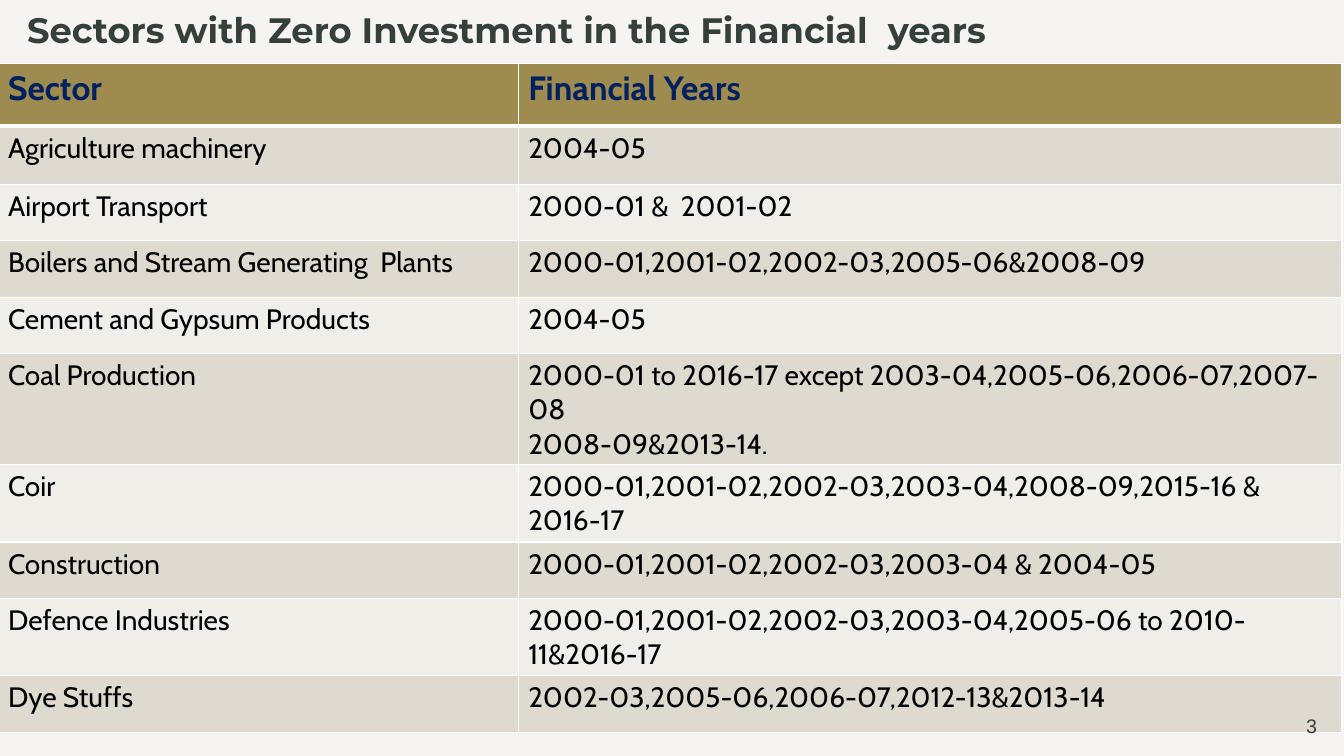
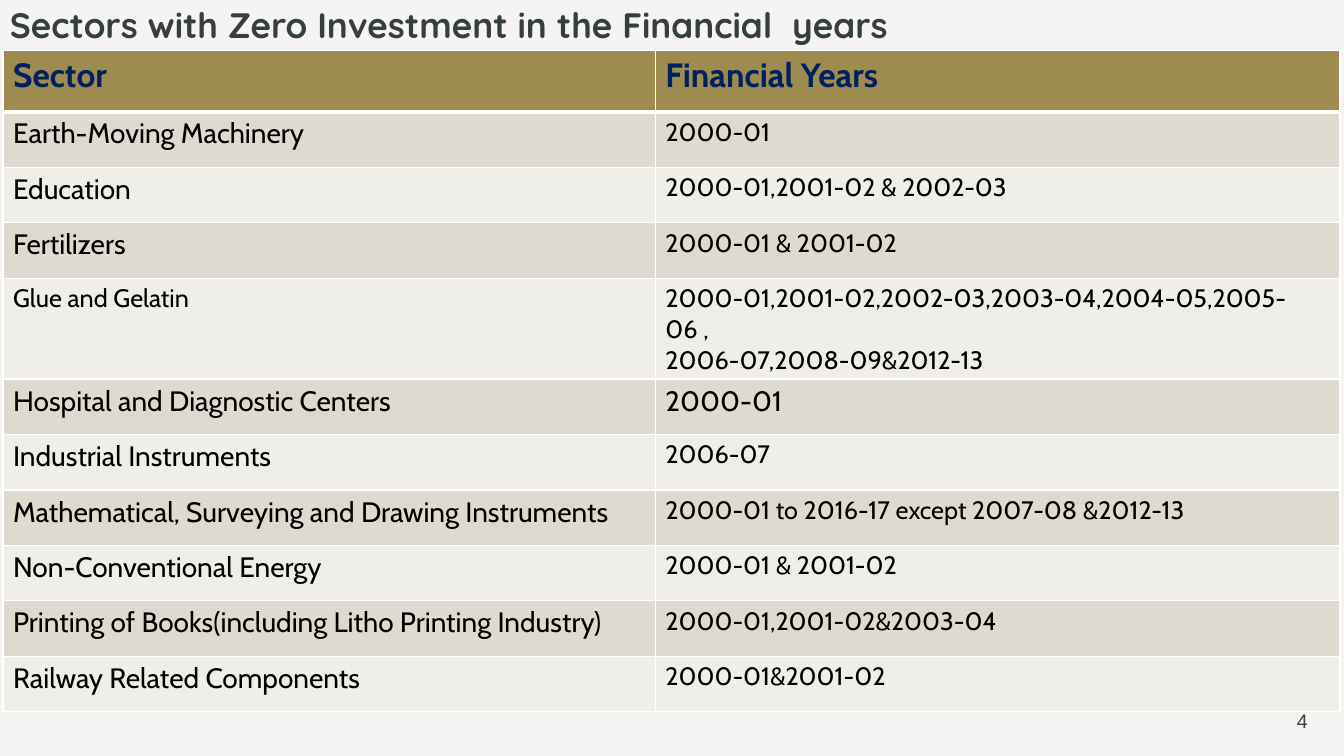
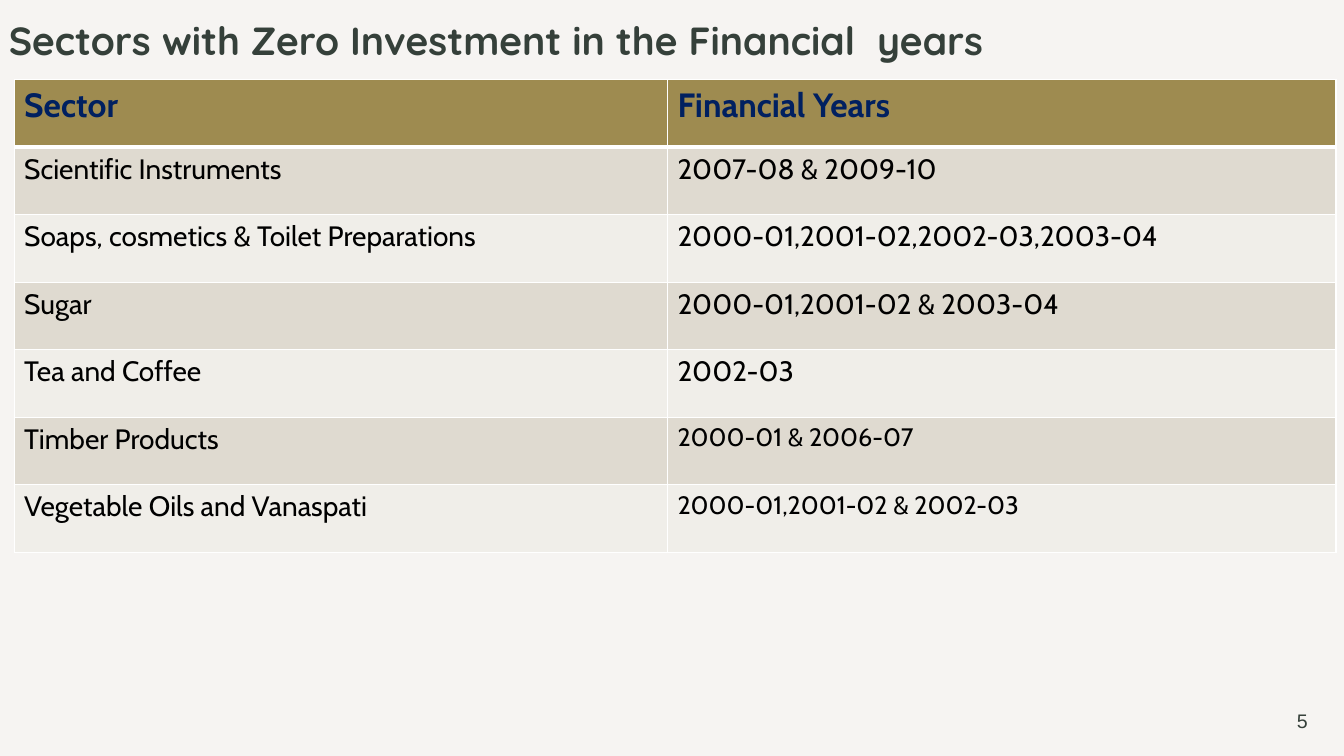
"""Build three table slides listing sectors with zero investment by financial year."""
import pptx
import pptx.dml.color
import pptx.enum.text
import pptx.oxml
import pptx.oxml.ns
import pptx.util
from pptx.util import Inches

BACKGROUND, INK, HEADER_INK, BODY_INK = "F6F4F2", "35403A", "002060", "000000"
HEADER_FILL, BAND_FILLS, RULE = "9E8B50", ("DFDAD0", "F0EEE9"), "FFFFFF"
TABLE_FONT, NUMBER_FONT = "Cabin", "Arial"
HEADER_SIZE, NUMBER_SIZE = 24, 14

TITLE = "Sectors with Zero Investment in the Financial  years"
HEADINGS = ("Sector", "Financial Years")

SLIDES = [
    {
        "number": "3", "number_at": (12.59, 7),
        "title_at": (0.17, 0, 11.43, 0.55), "title_font": "Montserrat", "title_size": 25.2,
        "table_at": (-0.02, 0.63), "columns": (5.16, 8.17),
        "row_height": 0.56, "tall_rows": {0: 0.62, 1: 0.58, 5: 0.9, 6: 0.66, 8: 0.74},
        "rows": [
            ("Agriculture machinery", 20, "2004-05", 20),
            ("Airport Transport", 20, "2000-01 &  2001-02", 20),
            ("Boilers and Stream Generating  Plants", 20,
             "2000-01,2001-02,2002-03,2005-06&2008-09", 20),
            ("Cement and Gypsum Products", 20, "2004-05", 20),
            ("Coal Production", 20,
             "2000-01 to 2016-17 except 2003-04,2005-06,2006-07,2007-08\n2008-09&2013-14.", 20),
            ("Coir", 20, "2000-01,2001-02,2002-03,2003-04,2008-09,2015-16 & 2016-17", 20),
            ("Construction", 20, "2000-01,2001-02,2002-03,2003-04 & 2004-05", 20),
            ("Defence Industries", 20,
             "2000-01,2001-02,2002-03,2003-04,2005-06 to 2010-11&2016-17", 20),
            ("Dye Stuffs", 20, "2002-03,2005-06,2006-07,2012-13&2013-14", 20),
        ],
    },
    {
        "number": "4", "number_at": (12.5, 6.95),
        "title_at": (0, 0, 11.43, 0.5), "title_font": "Quicksand", "title_size": 25.2,
        "table_at": (0.03, 0.5), "columns": (6.47, 6.79),
        "row_height": 0.55, "tall_rows": {0: 0.61, 4: 0.8},
        "rows": [
            ("Earth-Moving Machinery", 20, "2000-01", 18),
            ("Education", 20, "2000-01,2001-02 & 2002-03", 18),
            ("Fertilizers", 20, "2000-01 & 2001-02", 18),
            ("Glue and Gelatin", 18,
             "2000-01,2001-02,2002-03,2003-04,2004-05,2005-06 ,\n2006-07,2008-09&2012-13", 18),
            ("Hospital and Diagnostic Centers", 20, "2000-01", 20),
            ("Industrial Instruments", 20, "2006-07", 18),
            ("Mathematical, Surveying and Drawing Instruments", 20,
             "2000-01 to 2016-17 except 2007-08 &2012-13", 18),
            ("Non-Conventional Energy", 20, "2000-01 & 2001-02", 18),
            ("Printing of Books(including Litho Printing Industry)", 20,
             "2000-01,2001-02&2003-04", 18),
            ("Railway Related Components", 20, "2000-01&2001-02", 18),
        ],
    },
    {
        "number": "5", "number_at": (12.5, 6.95),
        "title_at": (-0.01, 0, 11.43, 0.68), "title_font": "Quicksand", "title_size": 28,
        "table_at": (0.14, 0.79), "columns": (6.48, 6.63),
        "row_height": 0.67, "tall_rows": {},
        "rows": [
            ("Scientific Instruments", 20, "2007-08 & 2009-10", 20),
            ("Soaps, cosmetics & Toilet Preparations", 20, "2000-01,2001-02,2002-03,2003-04", 20),
            ("Sugar", 20, "2000-01,2001-02 & 2003-04", 20),
            ("Tea and Coffee", 20, "2002-03", 20),
            ("Timber Products", 20, "2000-01 & 2006-07", 18),
            ("Vegetable Oils and Vanaspati", 20, "2000-01,2001-02 & 2002-03", 18),
        ],
    },
]


def color(hex_code):
    return pptx.dml.color.RGBColor.from_string(hex_code)


def write(frame, text, font, size, ink, bold=False, align=None):
    for index, line in enumerate(text.split("\n")):
        paragraph = frame.add_paragraph() if index else frame.paragraphs[0]
        paragraph.alignment = align
        run = paragraph.add_run()
        run.text = line
        run.font.name = font
        run.font.size = pptx.util.Pt(size)
        run.font.bold = bold
        run.font.color.rgb = color(ink)


def add_label(slide, at, anchor, *style, **options):
    frame = slide.shapes.add_textbox(*map(Inches, at)).text_frame
    frame.word_wrap = True
    frame.vertical_anchor = anchor
    write(frame, *style, **options)


def paint(cell, fill, top, bottom):
    properties = cell._tc.get_or_add_tcPr()
    for side, width in (("L", 1), ("R", 1), ("T", top), ("B", bottom)):
        properties.append(pptx.oxml.parse_xml(
            f'<a:ln{side} {pptx.oxml.ns.nsdecls("a")} w="{pptx.util.Pt(width)}">'
            f'<a:solidFill><a:srgbClr val="{RULE}"/></a:solidFill></a:ln{side}>'))
    cell.fill.solid()
    cell.fill.fore_color.rgb = color(fill)


def add_sector_table(slide, content):
    rows, columns = content["rows"], content["columns"]
    heights = [content["tall_rows"].get(i, content["row_height"]) for i in range(len(rows) + 1)]
    left, top = content["table_at"]
    table = slide.shapes.add_table(
        len(heights), len(columns),
        *map(Inches, (left, top, sum(columns), sum(heights)))).table
    table.horz_banding = False
    for column, width in zip(table.columns, columns):
        column.width = Inches(width)
    for row, height in zip(table.rows, heights):
        row.height = Inches(height)
    for column, heading in enumerate(HEADINGS):
        cell = table.cell(0, column)
        paint(cell, HEADER_FILL, 1, 3)
        write(cell.text_frame, heading, TABLE_FONT, HEADER_SIZE, HEADER_INK, bold=True)
    for index, (sector, sector_size, years, years_size) in enumerate(rows):
        for column, (text, size) in enumerate(((sector, sector_size), (years, years_size))):
            cell = table.cell(index + 1, column)
            paint(cell, BAND_FILLS[index % 2], 1 if index else 3, 1)
            write(cell.text_frame, text, TABLE_FONT, size, BODY_INK)


def main():
    deck = pptx.Presentation()
    deck.slide_width, deck.slide_height = Inches(13.33), Inches(7.5)
    backdrop = deck.slide_master.background.fill
    backdrop.solid()
    backdrop.fore_color.rgb = color(BACKGROUND)
    anchors = pptx.enum.text.MSO_ANCHOR
    for content in SLIDES:
        slide = deck.slides.add_slide(deck.slide_layouts[6])
        add_label(slide, content["title_at"], anchors.BOTTOM, TITLE,
                  content["title_font"], content["title_size"], INK, bold=True)
        add_sector_table(slide, content)
        add_label(slide, (*content["number_at"], 0.57, 0.4), anchors.MIDDLE, content["number"],
                  NUMBER_FONT, NUMBER_SIZE, INK, align=pptx.enum.text.PP_ALIGN.RIGHT)
    deck.save("out.pptx")


if __name__ == "__main__":
    main()
